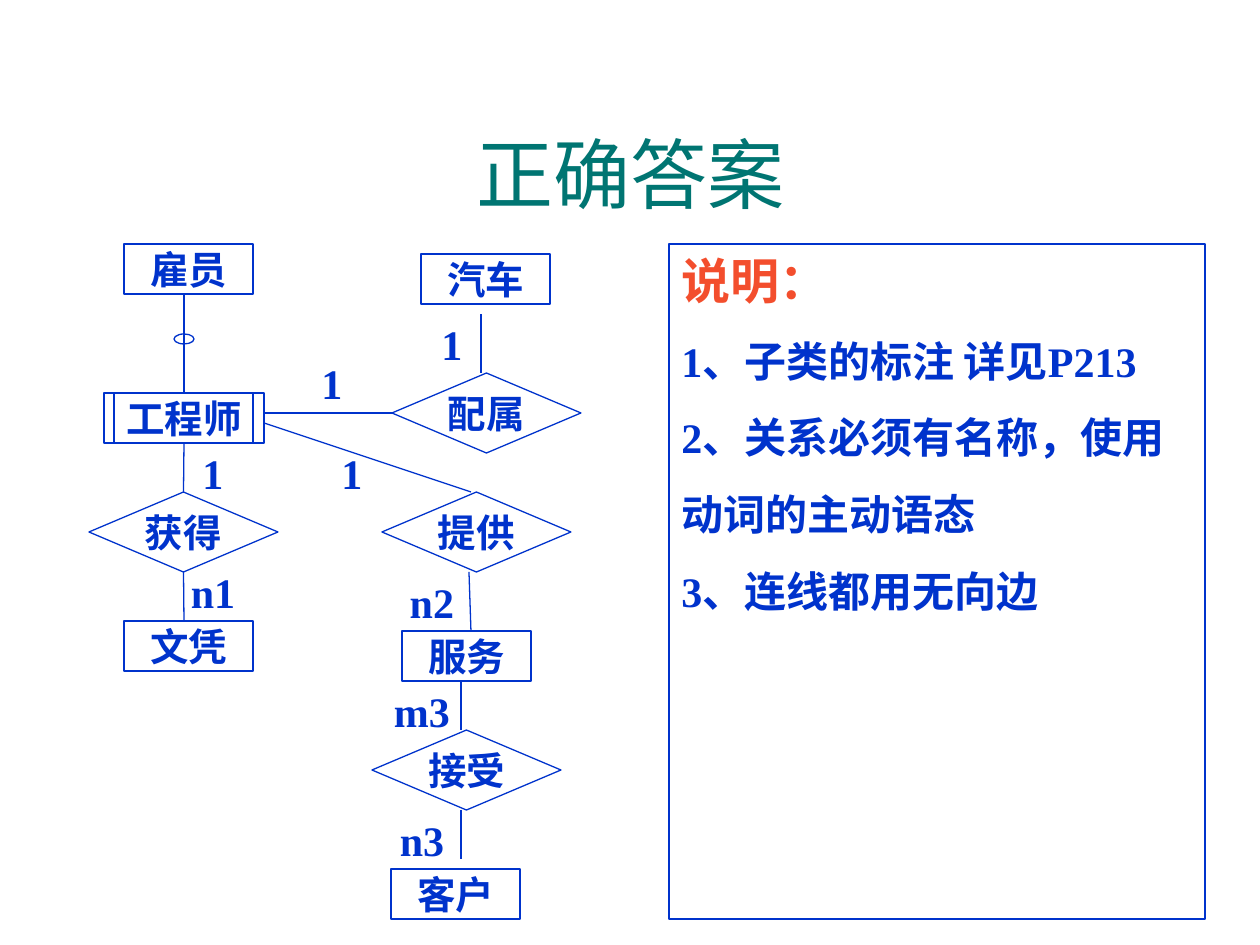
from pptx import Presentation
from pptx import util as u
from pptx.dml.color import RGBColor
from pptx.enum import shapes, text
from pptx.oxml.ns import qn
from lxml import etree

PX = 914400 // 126
BLUE, TEAL, ORANGE, WHITE = "0033CC", "007572", "F34E2D", "FFFFFF"
SERIF, SANS = "Times New Roman", "Arial"
TOP, LEFT, BOTTOM = 0, 1, 2


def px(value):
    return u.Emu(value * PX)


def color(value):
    return RGBColor.from_string(value)


def write(paragraph, words, size=22, font=SERIF, fill=BLUE, bold=True,
          align=text.PP_ALIGN.CENTER, before=0):
    paragraph.alignment = align
    paragraph.space_before = u.Pt(before)
    run = paragraph.add_run()
    run.text = words
    run.font.name = font
    run.font.size = u.Pt(size)
    run.font.bold = bold
    run.font.color.rgb = color(fill)


class Diagram:
    def __init__(self, slide, line=BLUE, width=0.75):
        self.slide, self.line, self.width = slide, line, width

    def outline(self, kind, left, top, width, height, fill=None, line=None):
        shape = self.slide.shapes.add_shape(
            kind, px(left), px(top), px(width), px(height))
        shape.shadow.inherit = False
        if fill:
            shape.fill.solid()
            shape.fill.fore_color.rgb = color(fill)
        else:
            shape.fill.background()
        shape.line.color.rgb = color(line or self.line)
        shape.line.width = u.Pt(self.width)
        return shape

    def captioned(self, shape, words, size=22):
        shape.text_frame.word_wrap = False
        shape.text_frame.vertical_anchor = text.MSO_ANCHOR.MIDDLE
        write(shape.text_frame.paragraphs[0], words, size)
        return shape

    def entity(self, words, left, top, width=129):
        kind = shapes.MSO_SHAPE.RECTANGLE
        return self.captioned(self.outline(kind, left, top, width, 50), words)

    def relation(self, words, left, top):
        kind = shapes.MSO_SHAPE.DIAMOND
        return self.captioned(self.outline(kind, left, top, 189, 80), words)

    def cardinality(self, words, left, top):
        kind = shapes.MSO_SHAPE.RECTANGLE
        shape = self.outline(kind, left, top, 40, 40, WHITE, WHITE)
        return self.captioned(shape, words, 24)

    def link(self, x1, y1, x2, y2, begin=None, end=None):
        line = self.slide.shapes.add_connector(
            shapes.MSO_CONNECTOR.STRAIGHT, px(x1), px(y1), px(x2), px(y2))
        line.line.color.rgb = color(self.line)
        line.line.width = u.Pt(self.width)
        etree.SubElement(line._element.spPr, qn("a:effectLst"))
        if begin:
            line.begin_connect(*begin)
        if end:
            line.end_connect(*end)

    def title(self, words, left, top, width, height):
        box = self.slide.shapes.add_textbox(
            px(left), px(top), px(width), px(height))
        box.text_frame.word_wrap = True
        box.text_frame.vertical_anchor = text.MSO_ANCHOR.MIDDLE
        write(box.text_frame.paragraphs[0], words, 44, SANS, TEAL, False)

    def explanation(self, heading, lines, left, top, width, height):
        kind = shapes.MSO_SHAPE.RECTANGLE
        frame = self.outline(kind, left, top, width, height, WHITE).text_frame
        frame.word_wrap = True
        frame.vertical_anchor = text.MSO_ANCHOR.TOP
        align = text.PP_ALIGN.LEFT
        write(frame.paragraphs[0], heading, 28, fill=ORANGE, align=align)
        for line in lines:
            write(frame.add_paragraph(), line, 24, align=align, before=15)


def main():
    presentation = Presentation()
    presentation.slide_width, presentation.slide_height = px(1260), px(945)
    slide = presentation.slides.add_slide(presentation.slide_layouts[6])
    diagram = Diagram(slide)

    diagram.title("正确答案", 42, 94, 1177, 158)

    # Cardinalities, beneath the lines
    for words, left, top in [
            ("1", 193, 453), ("1", 332, 453), ("1", 312, 363), ("1", 432, 324),
            ("n1", 193, 572), ("n2", 412, 582), ("m3", 402, 691),
            ("n3", 402, 820)]:
        diagram.cardinality(words, left, top)

    # Entities
    diagram.entity("雇员", 124, 244)
    engineer = diagram.entity("工程师", 104, 393, 160)
    diagram.entity("文凭", 124, 621)
    diagram.entity("汽车", 421, 254)
    diagram.entity("服务", 402, 631)
    diagram.entity("客户", 391, 869)

    # Relations
    obtain = diagram.relation("获得", 89, 492)
    assign = diagram.relation("配属", 392, 373)
    diagram.relation("提供", 382, 492)
    diagram.relation("接受", 372, 730)

    # Subclass mark and the double sides of the engineer entity
    diagram.outline(shapes.MSO_SHAPE.OVAL, 174, 334, 20, 10, WHITE)
    for x in (114, 253):
        diagram.link(x, 393, x, 443)

    # Links
    diagram.link(184, 393, 184, 294, begin=(engineer, TOP))
    diagram.link(184, 443, 184, 492, (engineer, BOTTOM), (obtain, TOP))
    diagram.link(184, 572, 184, 621, begin=(obtain, BOTTOM))
    diagram.link(264, 413, 392, 413, end=(assign, LEFT))
    diagram.link(264, 423, 471, 492)
    diagram.link(481, 373, 481, 314)
    diagram.link(469, 572, 471, 631)
    diagram.link(461, 681, 461, 730)
    diagram.link(461, 810, 461, 859)

    diagram.explanation("说明：", [
        "1、子类的标注 详见P213",
        "2、关系必须有名称，使用",
        "动词的主动语态",
        "3、连线都用无向边",
    ], 669, 244, 536, 675)

    presentation.save("out.pptx")


if __name__ == "__main__":
    main()
